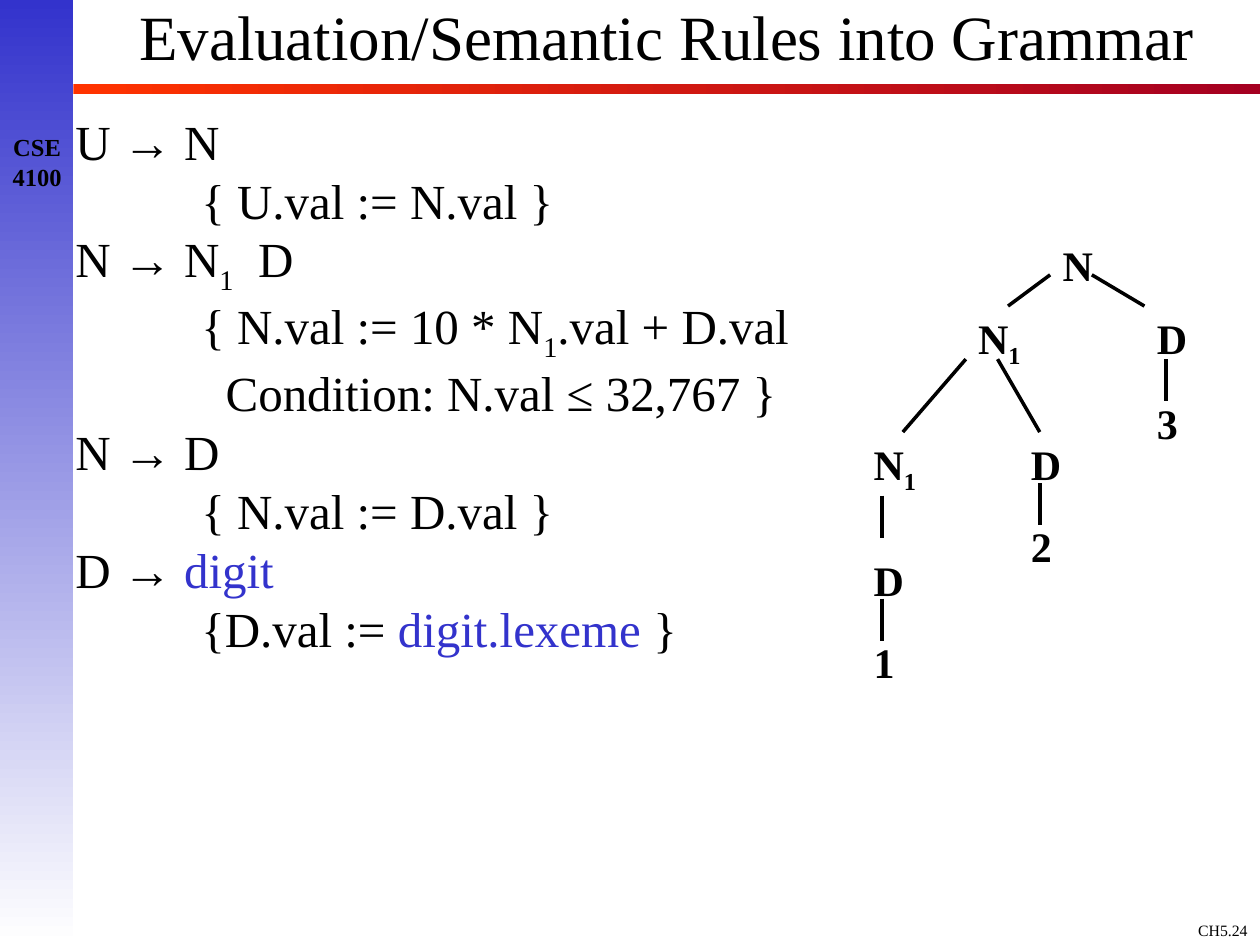
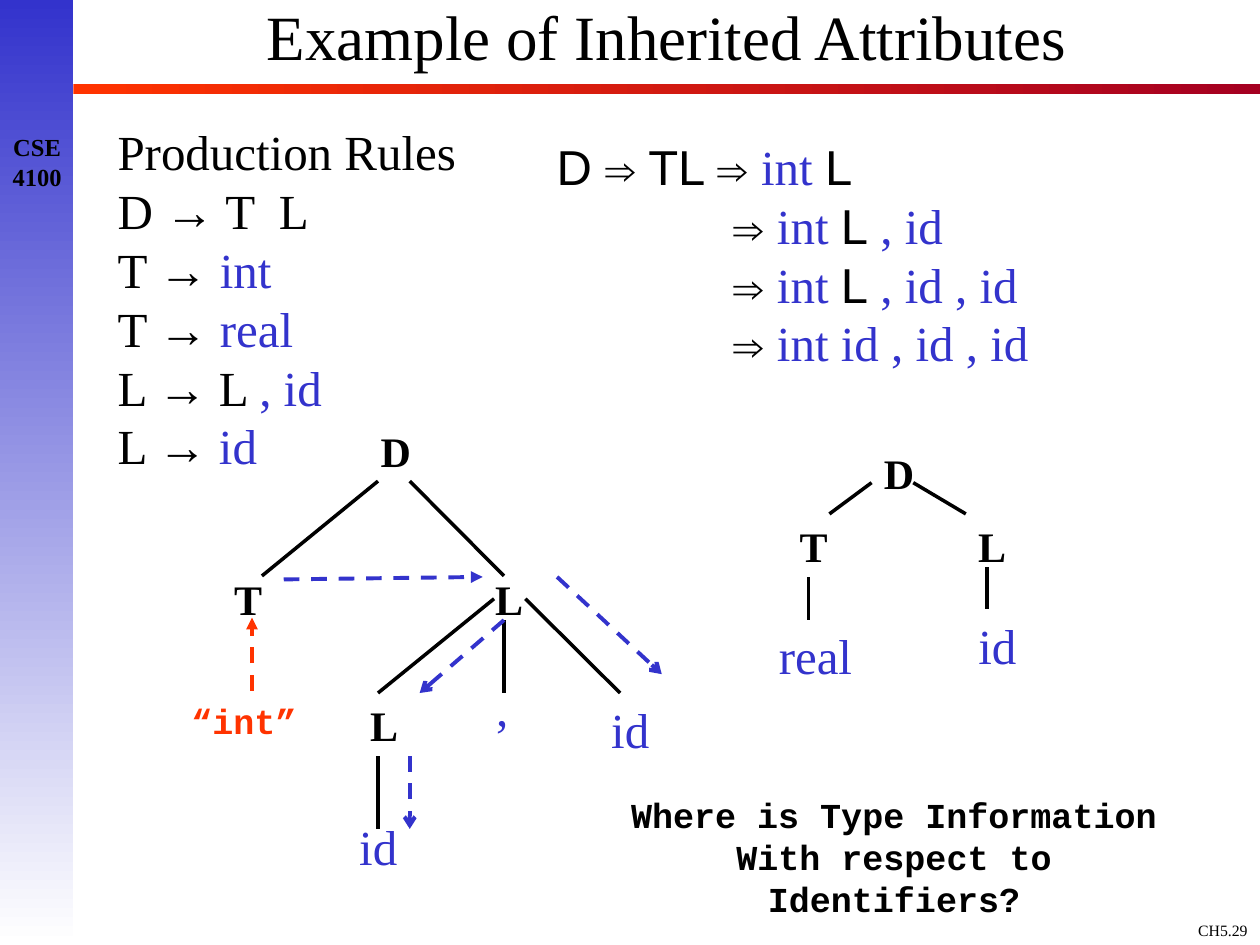
from lxml import etree
from pptx import Presentation
from pptx import util as u
from pptx.dml.color import RGBColor
from pptx.enum import dml, shapes, text
from pptx.oxml import ns

COLORS = {"black": "000000", "blue": "3333CC", "red": "FF3300",
          "dark_red": "A50021", "white": "FFFFFF"}
SERIF, SANS, MONO = "Times New Roman", "Arial", "Courier New"
LEFT, CENTER, RIGHT = text.PP_ALIGN.LEFT, text.PP_ALIGN.CENTER, text.PP_ALIGN.RIGHT

# Text styles; a run may override any part of its box's style
BODY = dict(size=28, font=SERIF, color="black", bold=False)
NODE = dict(BODY, size=24, bold=True)
TITLE = dict(BODY, size=36)
COURSE = dict(BODY, size=14, bold=True)
FOOTER = dict(BODY, size=9)
CODE = dict(BODY, size=20, font=MONO, bold=True)
TERMINAL = dict(BODY, color="blue")
SYMBOL = dict(BODY, font=SANS)
SUB = dict(sub=True)
N1 = ["N", ("1", SUB)]

SIDE_W = 1.48
RULE_INDENT = 2.54
STEM = 0.85


def rgb(name):
    return RGBColor.from_string(COLORS[name])


class Deck:
    """Holds the presentation, its style and the current slide."""

    def __init__(self):
        self.prs = Presentation()
        self.prs.slide_width, self.prs.slide_height = u.Cm(25.4), u.Cm(19.05)
        self.s = None

    def slide(self, title, number):
        self.s = self.prs.slides.add_slide(self.prs.slide_layouts[5])
        self.band(SIDE_W, 1.69, 23.92, 0.2, "red", "dark_red", 0)
        self.band(0, 0, SIDE_W, 19.05, "blue", "white", 270)
        self.text(22.48, 18.44, 2.92, 0.6, [number], FOOTER, RIGHT)
        self.text(0, 2.54, 1.5, 1.45, ["CSE", "4100"], COURSE, CENTER)
        sp = self.s.shapes.title
        sp.left, sp.top = u.Cm(SIDE_W), u.Cm(0)
        sp.width, sp.height = u.Cm(23.92), u.Cm(1.69)
        tf = sp.text_frame
        tf.auto_size = text.MSO_AUTO_SIZE.NONE
        tf.vertical_anchor = text.MSO_ANCHOR.MIDDLE
        p = tf.paragraphs[0]
        p.alignment, p.line_spacing = CENTER, 0.8
        self.run(p, title, TITLE)

    def band(self, x, y, w, h, start, end, angle):
        sp = self.s.shapes.add_shape(shapes.MSO_SHAPE.RECTANGLE,
                                     u.Cm(x), u.Cm(y), u.Cm(w), u.Cm(h))
        sp.shadow.inherit = False
        sp.line.fill.background()
        sp.fill.gradient()
        sp.fill.gradient_angle = angle
        for stop, color in zip(sp.fill.gradient_stops, (start, end)):
            stop.color.rgb = rgb(color)

    def run(self, p, words, style):
        r = p.add_run()
        r.text = words
        r.font.size, r.font.name = u.Pt(style["size"]), style["font"]
        r.font.bold, r.font.color.rgb = style["bold"], rgb(style["color"])
        if style.get("sub"):
            r.font._element.set("baseline", "-25000")

    def text(self, x, y, w, h, lines, style=BODY, align=LEFT, indents=(), inset=True):
        """Each line is a string or a list of strings and (string, style) runs."""
        sp = self.s.shapes.add_textbox(u.Cm(x), u.Cm(y), u.Cm(w), u.Cm(h))
        tf = sp.text_frame
        tf.word_wrap = align != CENTER
        if not inset:
            tf.margin_left = tf.margin_right = tf.margin_top = tf.margin_bottom = 0
        for i, line in enumerate(lines):
            p = tf.add_paragraph() if i else tf.paragraphs[0]
            p.alignment = align
            if indents and indents[i]:
                p._p.get_or_add_pPr().set("marL", str(u.Cm(indents[i])))
            for part in [line] if isinstance(line, str) else line:
                words, change = (part, {}) if isinstance(part, str) else part
                self.run(p, words, {**style, **change})

    def node(self, x, y, label, w=1.47, style=NODE, align=LEFT):
        self.text(x, y, w, 1.27 if style is NODE else 1.45, [label], style, align)

    def line(self, x1, y1, x2, y2, color="black", arrow=None):
        c = self.s.shapes.add_connector(shapes.MSO_CONNECTOR.STRAIGHT,
                                        u.Cm(x1), u.Cm(y1), u.Cm(x2), u.Cm(y2))
        c.line.color.rgb = rgb(color)
        c.line.width = u.Pt(2.25 if arrow else 2)
        if arrow:
            c.line.dash_style = dml.MSO_LINE.DASH
            etree.SubElement(c.line._get_or_add_ln(), ns.qn("a:tailEnd"), type=arrow)
        etree.SubElement(c._element.spPr, ns.qn("a:effectLst"))

    def stem(self, x, y, length=STEM):
        self.line(x, y, x, y + length)

    def fork(self, x, y, root, left, right):
        """A root node at x, y with two children below it."""
        self.node(x, y, root)
        self.node(x - 1.7, y + 1.47, left)
        self.node(x + 1.9, y + 1.47, right)
        self.line(x - 0.85, y + 1.47, x, y + 0.84)
        self.line(x + 0.84, y + 0.84, x + 1.9, y + 1.47)


def grammar_slide(d):
    d.slide("Evaluation/Semantic Rules into Grammar", "CH5.24")

    # Productions, each followed by its indented semantic rule
    rules = [
        (0, "U → N"),
        (RULE_INDENT, "{ U.val := N.val }"),
        (0, ["N → N", ("1", SUB), "  D"]),
        (RULE_INDENT, ["{ N.val := 10 * N", ("1", SUB), ".val + D.val"]),
        (RULE_INDENT + 0.49, "Condition: N.val ≤ 32,767 }"),
        (0, "N → D"),
        (RULE_INDENT, "{ N.val := D.val }"),
        (0, ["D → ", ("digit", TERMINAL)]),
        (RULE_INDENT, ["{D.val := ", ("digit.lexeme ", TERMINAL), "}"]),
    ]
    indents, lines = zip(*rules)
    d.text(1.27, 2.12, 15.24, 11.25, lines, indents=indents)

    # Parse tree of 123
    d.fork(21.17, 4.7, "N", N1, "D")
    for x, y, label in [(23.07, 7.88, "3"), (17.36, 8.71, N1), (20.53, 8.71, "D"),
                        (20.53, 10.37, "2"), (17.36, 11.05, "D"), (17.36, 12.7, "1")]:
        d.node(x, y, label)
    d.line(18.2, 8.71, 19.47, 7.24)
    d.line(20.11, 7.24, 20.96, 8.71)
    for x, y in [(23.5, 7.24), (20.96, 9.74), (17.78, 9.99), (17.78, 12.07)]:
        d.stem(x, y)


def inherited_slide(d):
    d.slide("Example of Inherited Attributes", "CH5.29")

    # Production rules
    d.text(2.12, 2.33, 7.5, 7.37, [
        "Production Rules", "D → T  L",
        ["T → ", ("int", TERMINAL)], ["T → ", ("real", TERMINAL)],
        ["L → L ", (", id", TERMINAL)], ["L → ", ("id", TERMINAL)]])

    # Derivation
    arrow, type_int = ("⇒", dict(size=24)), ("int ", TERMINAL)
    step = [arrow, " ", type_int, "L"]
    d.text(11.22, 2.75, 11.64, 5.08, [
        ["D ", arrow, " TL ", *step],
        [*step, (" , id", TERMINAL)],
        [*step, (" , id , id", TERMINAL)],
        [arrow, " ", ("int id , id , id", TERMINAL)],
    ], SYMBOL, indents=(0, 3.56, 3.56, 3.56), inset=False)

    # Small tree
    d.fork(17.57, 8.89, "D", "T", "L")
    d.stem(16.3, 11.64)
    d.stem(19.9, 11.43)
    d.node(15.45, 12.49, "real", 2.12, TERMINAL)
    d.node(19.47, 12.28, "id", 1.27, TERMINAL, CENTER)

    # Large tree
    for x1, y1, x2, y2 in [(5.28, 11.61, 7.62, 9.7), (8.26, 9.7, 10.16, 11.61),
                           (7.62, 13.97, 9.96, 12.07), (10.59, 12.07, 12.5, 13.97)]:
        d.line(x1, y1, x2, y2)
    d.stem(10.16, 12.5, 1.47)
    d.stem(7.62, 15.24, 1.47)
    for x, y, label, w, style in [
            (7.42, 8.46, "D", 1.12, NODE), (4.47, 11.43, "T", 1.07, NODE),
            (9.73, 11.43, "L", 1.07, NODE), (7.21, 13.97, "L", 1.07, NODE),
            (6.99, 16.33, "id", 1.27, TERMINAL), (12.07, 13.97, "id", 1.27, TERMINAL),
            (9.75, 13.54, ",", 0.74, TERMINAL)]:
        d.node(x, y, label, w, style, CENTER)

    # Flow of the type attribute
    d.text(3.61, 13.97, 3.05, 1.12, ["“int”"], dict(CODE, color="red"))
    d.line(5.08, 13.92, 5.08, 12.45, "red", "triangle")
    d.line(5.72, 11.68, 9.73, 11.63, "blue", "triangle")
    for x1, y1, x2, y2 in [(11.23, 11.63, 13.34, 13.59), (10.16, 12.5, 8.46, 13.97),
                           (8.26, 15.24, 8.26, 16.71)]:
        d.line(x1, y1, x2, y2, "blue", "arrow")

    # Question
    d.text(11.84, 15.88, 12.37, 1.96,
           ["Where is Type Information", "With respect to Identifiers?"], CODE, CENTER)


def main():
    d = Deck()
    grammar_slide(d)
    inherited_slide(d)
    d.prs.save("out.pptx")


if __name__ == "__main__":
    main()
